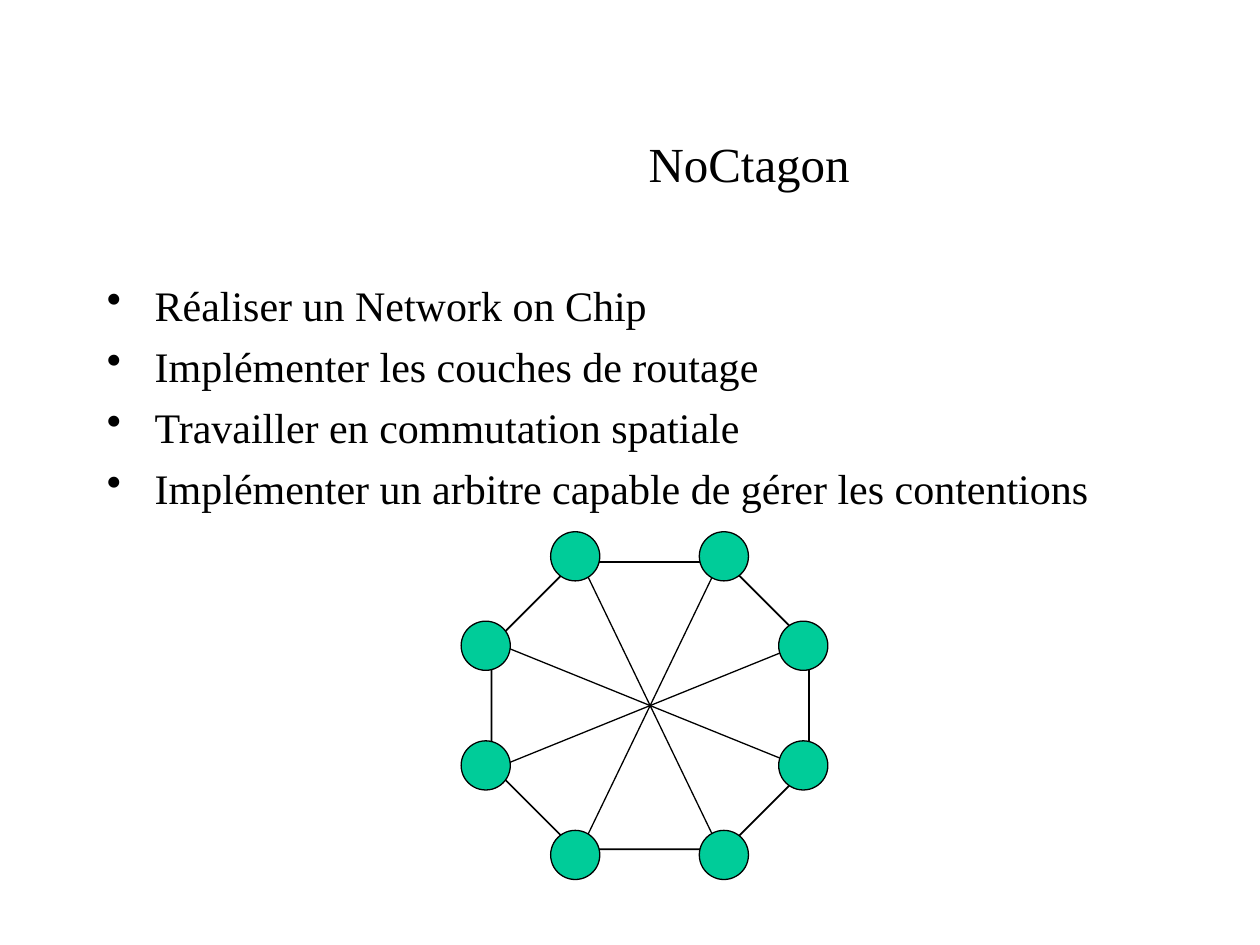
from dataclasses import dataclass
from itertools import product

from lxml.etree import SubElement
from pptx import Presentation
from pptx.dml.color import RGBColor
from pptx.enum.shapes import MSO_CONNECTOR as Connector, MSO_SHAPE as Shape
from pptx.enum.text import MSO_ANCHOR as Anchor, PP_ALIGN as Align
from pptx.oxml.ns import qn
from pptx.util import Inches, Pt

COLORS = {"ink": "000000", "node": "00CC99"}
FONT = "Times New Roman"
NODE_SIZE = 0.39
GOALS = [
    "Réaliser un Network on Chip",
    "Implémenter les couches de routage",
    "Travailler en commutation spatiale",
    "Implémenter un arbitre capable de gérer les contentions",
]


@dataclass(frozen=True)
class Area:
    left: float
    top: float
    width: float
    height: float

    def lengths(self) -> list:
        return [Inches(value) for value in (self.left, self.top, self.width, self.height)]


@dataclass(frozen=True)
class Spoke:
    start: tuple
    end: tuple


RING = Area(3.9, 4.46, 2.52, 2.28)
SPOKES = [
    Spoke((4.61, 4.46), (5.71, 6.74)),
    Spoke((5.71, 4.46), (4.61, 6.74)),
    Spoke((3.9, 5.09), (6.42, 6.11)),
    Spoke((3.9, 6.11), (6.42, 5.09)),
]
NODES = [*product((4.37, 5.55), (4.22, 6.59)), *product((3.66, 6.18), (4.93, 5.88))]


def color(name: str) -> RGBColor:
    return RGBColor.from_string(COLORS[name])


def add_bullet(para, indent: float) -> None:
    properties = para._p.get_or_add_pPr()
    properties.set("marL", str(Inches(indent)))
    properties.set("indent", str(-Inches(indent)))
    SubElement(properties, qn("a:buChar")).set("char", "•")


def add_text(page, area: Area, lines: list, *, size: float, align=Align.LEFT,
             anchor=Anchor.TOP, bullet_indent: float = 0, gap: float = 0) -> None:
    box = page.shapes.add_textbox(*area.lengths())
    frame = box.text_frame
    frame.word_wrap = True
    frame.vertical_anchor = anchor
    for index, line in enumerate(lines):
        para = frame.add_paragraph() if index else frame.paragraphs[0]
        para.alignment = align
        if index:
            para.space_before = Pt(gap)
        if bullet_indent:
            add_bullet(para, bullet_indent)
        span = para.add_run()
        span.text = line
        span.font.name = FONT
        span.font.size = Pt(size)
        span.font.color.rgb = color("ink")


def add_outline(page, kind, area: Area, *, width: float, fill: str = ""):
    shape = page.shapes.add_shape(kind, *area.lengths())
    shape.shadow.inherit = False
    if fill:
        shape.fill.solid()
        shape.fill.fore_color.rgb = color(fill)
    else:
        shape.fill.background()
    shape.line.color.rgb = color("ink")
    shape.line.width = Pt(width)
    return shape


def add_spoke(page, spoke: Spoke) -> None:
    ends = [Inches(value) for value in (*spoke.start, *spoke.end)]
    line = page.shapes.add_connector(Connector.STRAIGHT, *ends)
    line.line.color.rgb = color("ink")
    line.line.width = Pt(0.75)
    SubElement(line._element.spPr, qn("a:effectLst"))


def main() -> None:
    """Build the NoCtagon slide."""
    deck = Presentation()
    deck.slide_width, deck.slide_height = Inches(10), Inches(7.5)
    page = deck.slides.add_slide(deck.slide_layouts[6])
    add_text(page, Area(2.64, 0.67, 6.61, 1.25), ["NoCtagon"], size=28,
             align=Align.CENTER, anchor=Anchor.MIDDLE)
    add_text(page, Area(0.75, 2.17, 8.5, 4.5), GOALS, size=24, bullet_indent=0.38, gap=6)
    ring = add_outline(page, Shape.OCTAGON, RING, width=1)
    ring.adjustments[0] = 0.29
    for spoke in SPOKES:
        add_spoke(page, spoke)
    for left, top in NODES:
        add_outline(page, Shape.OVAL, Area(left, top, NODE_SIZE, NODE_SIZE),
                    width=0.75, fill="node")
    deck.save("out.pptx")


if __name__ == "__main__":
    main()
